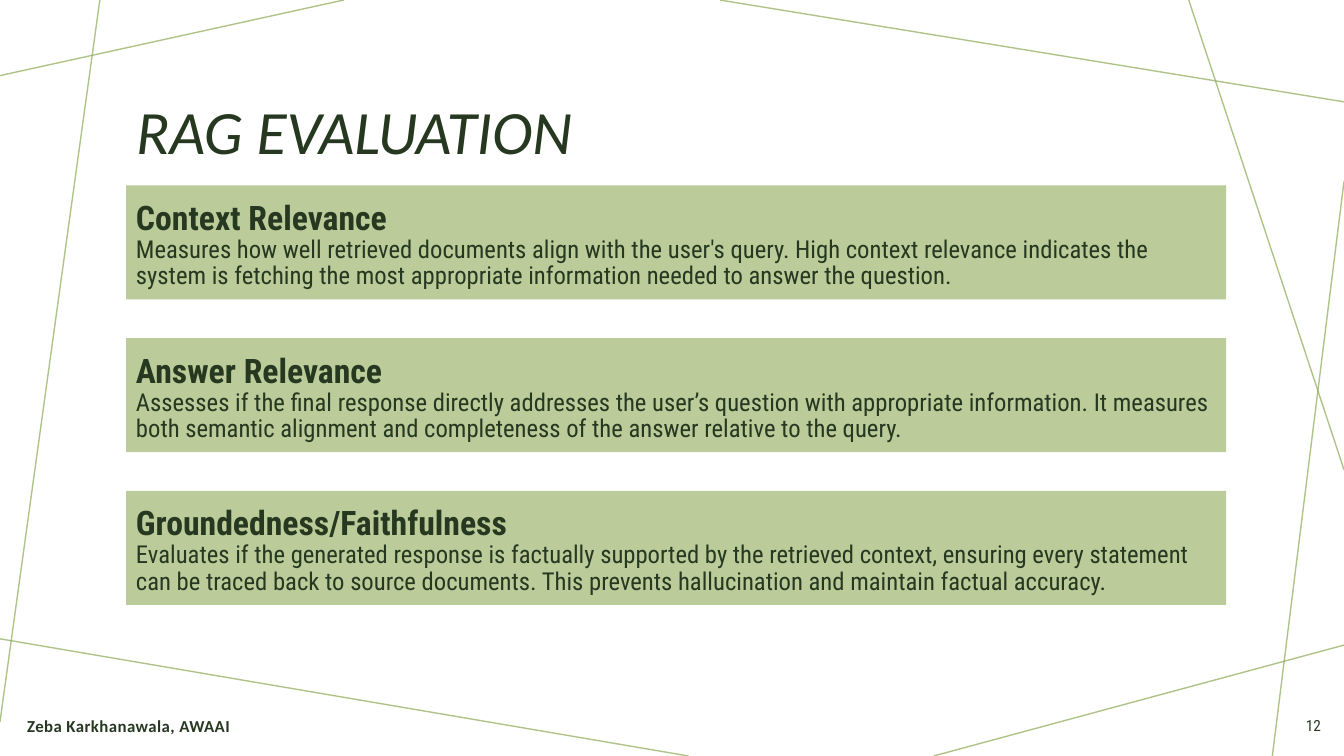
from lxml import etree
from pptx import Presentation
from pptx.dml.color import RGBColor
from pptx.enum.shapes import MSO_CONNECTOR, MSO_SHAPE
from pptx.enum.text import MSO_ANCHOR, MSO_AUTO_SIZE, PP_ALIGN
from pptx.oxml.ns import qn
from pptx.util import Inches, Pt

INK = RGBColor(0x26, 0x38, 0x20)
SAGE = RGBColor(0xBB, 0xCC, 0x9A)
MOSS = RGBColor(0x8E, 0xAA, 0x57)
LEFT, RIGHT = PP_ALIGN.LEFT, PP_ALIGN.RIGHT
TOP, MIDDLE = MSO_ANCHOR.TOP, MSO_ANCHOR.MIDDLE
HEAD, BODY = "Calibri", "Roboto Condensed"

deck = Presentation()
deck.slide_width, deck.slide_height = Inches(13.33), Inches(7.5)
slide = deck.slides.add_slide(deck.slide_layouts[5])
shapes = slide.shapes


def share(*nums):
    """Turn percentages, alternately across and down, into slide lengths."""
    sides = deck.slide_width, deck.slide_height
    return [int(sides[i % 2] * num / 100) for i, num in enumerate(nums)]


def write(para, text, size, face, bold=False, align=LEFT):
    para.text, para.alignment = text, align
    font = para.font
    font.size, font.name, font.bold = Pt(size), face, bold
    font.color.rgb = INK


# Crossing lines around the margins: start x, y, end x, y
for ends in [
    (25.58, 0, 0, 10),
    (7.43, 0, 0, 95.47),
    (51.24, 100, 0, 84.5),
    (100, 85.33, 69.47, 100),
    (100, 24, 94.67, 100),
    (100, 62.13, 88.45, 0),
    (100, 13.47, 53.56, 0),
]:
    line = shapes.add_connector(MSO_CONNECTOR.STRAIGHT, *share(*ends))
    line.line.color.rgb, line.line.width = MOSS, Pt(1)
    props = line._element.spPr
    tint = props.find(".//" + qn("a:srgbClr"))
    etree.SubElement(tint, qn("a:alpha"), val="70000")
    etree.SubElement(props, qn("a:effectLst"))

# Title
title = shapes.title
title.left, title.top, title.width, title.height = share(9.38, 7.73, 81.25, 20.13)
frame = title.text_frame
frame.auto_size, frame.vertical_anchor = MSO_AUTO_SIZE.NONE, MIDDLE
para = frame.paragraphs[0]
write(para, "RAG EVALUATION", 44, HEAD)
para.font.italic, para.line_spacing = True, 0.9

# One card per measure
cards = [
    ("Context Relevance",
     "Measures how well retrieved documents align with the user's query. "
     "High context relevance indicates the system is fetching the most "
     "appropriate information needed to answer the question."),
    ("Answer Relevance",
     "Assesses if the final response directly addresses the user’s question "
     "with appropriate information. It measures both semantic alignment and "
     "completeness of the answer relative to the query."),
    ("Groundedness/Faithfulness",
     "Evaluates if the generated response is factually supported by the "
     "retrieved context, ensuring every statement can be traced back to source "
     "documents. This prevents hallucination and maintain factual accuracy."),
]
for row, (name, text) in enumerate(cards):
    spot = share(9.38, 24.53 + 20.2 * row, 81.85, 15.07)
    card = shapes.add_shape(MSO_SHAPE.RECTANGLE, *spot)
    card.shadow.inherit = False
    card.fill.solid()
    card.fill.fore_color.rgb = SAGE
    card.line.fill.background()
    frame = card.text_frame
    frame.word_wrap, frame.vertical_anchor = True, TOP
    frame.margin_top = Inches(0.07)
    para = frame.paragraphs[0]
    write(para, name, 24.1, BODY, bold=True)
    para.line_spacing = 1.1
    para = frame.add_paragraph()
    write(para, text, 17.6, BODY)
    para.line_spacing = 0.9

# Footer: author and page number
for x, wide, text, size, face, bold, align, gap in [
    (1.28, 36.91, "Zeba Karkhanawala, AWAAI", 12, HEAD, True, LEFT, "30"),
    (95.2, 3.83, "12", 11, BODY, False, RIGHT, "0"),
]:
    frame = shapes.add_textbox(*share(x, 93.33, wide, 5.33)).text_frame
    frame.word_wrap, frame.vertical_anchor = True, MIDDLE
    para = frame.paragraphs[0]
    write(para, text, size, face, bold, align)
    para.runs[0]._r.get_or_add_rPr().set("spc", gap)

deck.save("out.pptx")
